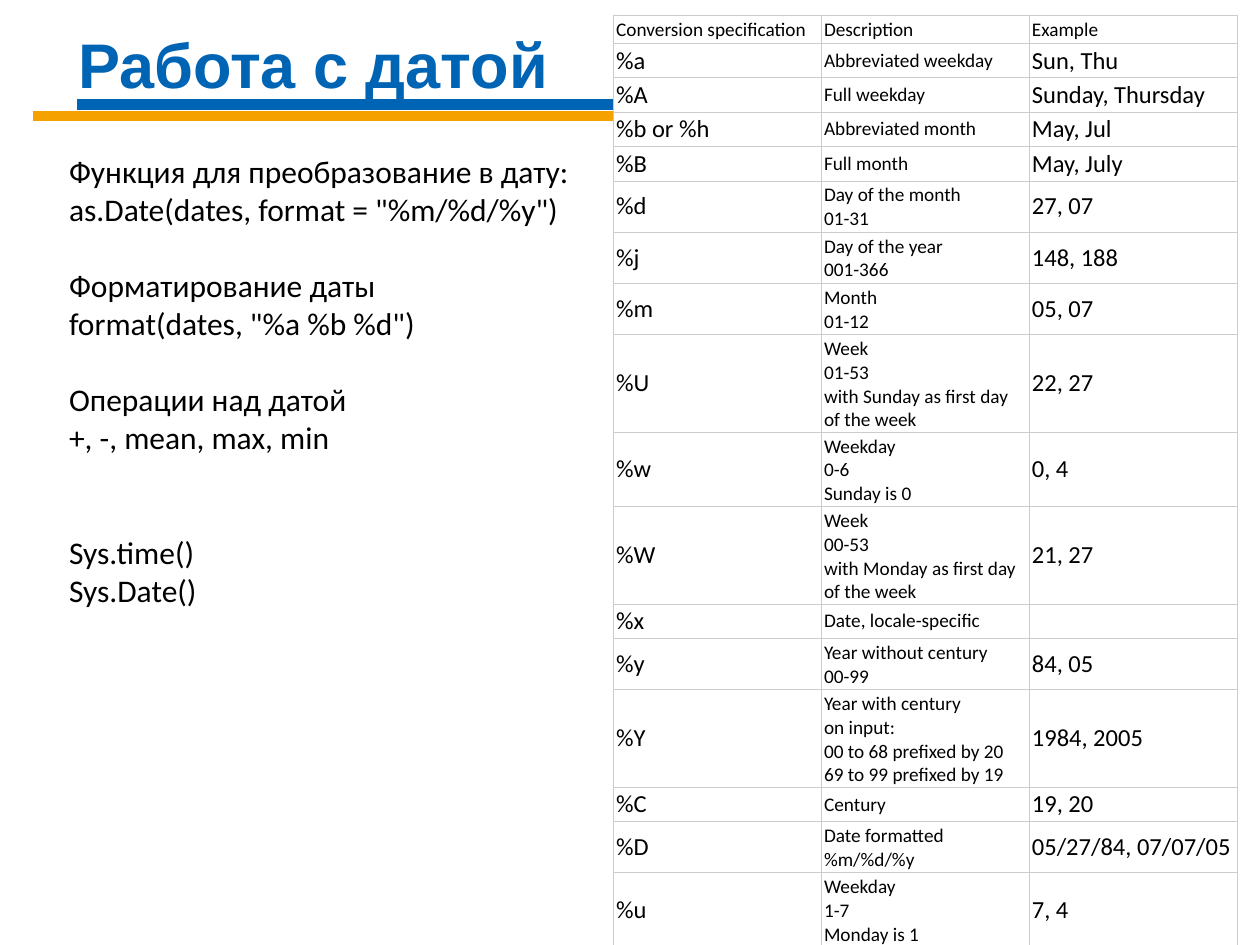
from pptx import Presentation
from pptx.dml.color import RGBColor
from pptx.enum.shapes import MSO_CONNECTOR as Connector
from pptx.enum.text import MSO_ANCHOR as Anchor, MSO_AUTO_SIZE as AutoSize, PP_ALIGN as Align
from pptx.oxml import parse_xml
from pptx.oxml.ns import nsdecls
from pptx.util import Inches, Pt

BLUE, ORANGE, BLACK, WHITE, GREY = "0064B5", "F5A200", "000000", "FFFFFF", "CCCCCC"


def color(value):
    return RGBColor.from_string(value)


class SlideBuilder:
    heading_font = "Arial"
    body_font = "Calibri"

    def __init__(self, slide):
        self.slide = slide

    def style(self, paragraph, size, font=body_font, fill=BLACK, bold=False):
        paragraph.font.name = font
        paragraph.font.size = Pt(size)
        paragraph.font.bold = bold
        paragraph.font.color.rgb = color(fill)
        paragraph.alignment = Align.LEFT

    def title(self, text, left, top, width, height):
        shape = self.slide.shapes.title
        shape.left, shape.top = Inches(left), Inches(top)
        shape.width, shape.height = Inches(width), Inches(height)
        frame = shape.text_frame
        frame.text = text
        frame.auto_size = AutoSize.NONE
        frame.vertical_anchor = Anchor.BOTTOM
        frame.margin_left = frame.margin_right = Inches(0.08)
        frame.margin_top = frame.margin_bottom = Inches(0.04)
        self.style(frame.paragraphs[0], 36, self.heading_font, BLUE, True)

    def rule(self, left, right, y, stroke):
        shape = self.slide.shapes.add_connector(
            Connector.STRAIGHT, Inches(left), Inches(y), Inches(right), Inches(y))
        shape.line.color.rgb = color(stroke)
        shape.line.width = Pt(6)
        shape._element.spPr.append(parse_xml(f"<a:effectLst {nsdecls('a')}/>"))

    def text(self, lines, left, top, width, height):
        shape = self.slide.shapes.add_textbox(
            Inches(left), Inches(top), Inches(width), Inches(height))
        frame = shape.text_frame
        frame.word_wrap = True
        for index, (line, space) in enumerate(lines):
            paragraph = frame.add_paragraph() if index else frame.paragraphs[0]
            paragraph.text = line
            paragraph.space_before = Pt(space)
            self.style(paragraph, 18)

    def cell(self, cell, text, size):
        cell.margin_left = cell.margin_right = Inches(0.02)
        cell.margin_top = cell.margin_bottom = Inches(0.02)
        cell.vertical_anchor = Anchor.MIDDLE
        paragraph = cell.text_frame.paragraphs[0]
        paragraph.text = text.replace("\n", "\v")
        self.style(paragraph, size)
        properties = cell._tc.get_or_add_tcPr()
        for side in ("lnL", "lnR", "lnT", "lnB"):
            properties.append(parse_xml(
                f'<a:{side} {nsdecls("a")} w="{Pt(0.5)}"><a:solidFill>'
                f'<a:srgbClr val="{GREY}"/></a:solidFill></a:{side}>'))
        cell.fill.solid()
        cell.fill.fore_color.rgb = color(WHITE)

    def table(self, rows, heights, left, top, column_width):
        columns = len(rows[0])
        table = self.slide.shapes.add_table(
            len(rows), columns, Inches(left), Inches(top),
            Inches(column_width * columns), Inches(sum(heights))).table
        table.first_row = table.horz_banding = False
        for column in table.columns:
            column.width = Inches(column_width)
        for row_index, (values, height) in enumerate(zip(rows, heights)):
            table.rows[row_index].height = Inches(height)
            for column_index, value in enumerate(values):
                small = row_index == 0 or column_index == 1
                self.cell(table.cell(row_index, column_index), value, 11 if small else 14)


HEADER = ("Conversion specification", "Description", "Example")
FORMATS = [
    ("%a", "Abbreviated weekday", "Sun, Thu", 1),
    ("%A", "Full weekday", "Sunday, Thursday", 1),
    ("%b or %h", "Abbreviated month", "May, Jul", 1),
    ("%B", "Full month", "May, July", 1),
    ("%d", "Day of the month\n01-31", "27, 07", 2),
    ("%j", "Day of the year\n001-366", "148, 188", 2),
    ("%m", "Month\n01-12", "05, 07", 2),
    ("%U", "Week\n01-53\nwith Sunday as first day of the week", "22, 27", 4),
    ("%w", "Weekday\n0-6\nSunday is 0", "0, 4", 3),
    ("%W", "Week\n00-53\nwith Monday as first day of the week", "21, 27", 4),
    ("%x", "Date, locale-specific", "", 1),
    ("%y", "Year without century\n00-99", "84, 05", 2),
    ("%Y", "Year with century\non input:\n00 to 68 prefixed by 20\n69 to 99 prefixed by 19",
     "1984, 2005", 4),
    ("%C", "Century", "19, 20", 1),
    ("%D", "Date formatted %m/%d/%y", "05/27/84, 07/07/05", 2),
    ("%u", "Weekday\n1-7\nMonday is 1", "7, 4", 3),
]
LINE_HEIGHTS = {1: 0.27, 2: 0.4, 3: 0.59, 4: 0.77}
GAP = 22
NOTES = [
    ("Функция для преобразование в дату:", 0),
    ('as.Date(dates, format = "%m/%d/%y")', 0),
    ("Форматирование даты", GAP),
    ('format(dates, "%a %b %d")', 0),
    ("Операции над датой", GAP),
    ("+, -, mean, max, min", 0),
    ("Sys.time()", 2 * GAP),
    ("Sys.Date()", 0),
]

presentation = Presentation()
presentation.slide_width, presentation.slide_height = Inches(10), Inches(7.5)
builder = SlideBuilder(presentation.slides.add_slide(presentation.slide_layouts[5]))
builder.title("Работа с датой", 0.54, 0.15, 9.3, 0.69)
builder.rule(0.61, 9.65, 0.83, BLUE)
builder.rule(0.26, 9.32, 0.92, ORANGE)
builder.text(NOTES, 0.45, 1.16, 4.86, 3.74)
builder.table([HEADER] + [row[:3] for row in FORMATS],
              [0.22] + [LINE_HEIGHTS[row[3]] for row in FORMATS], 4.87, 0.12, 1.65)
presentation.save("out.pptx")
